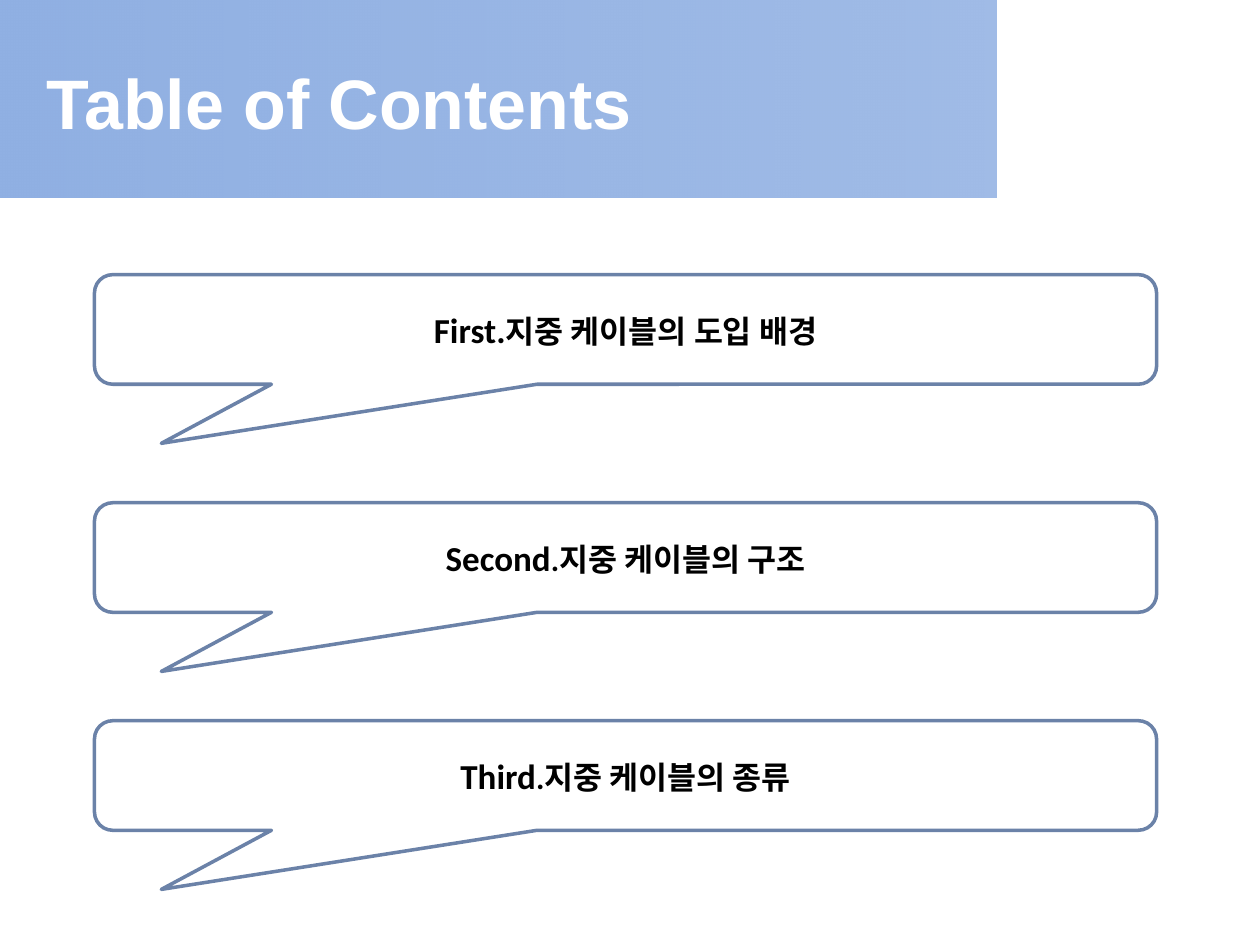
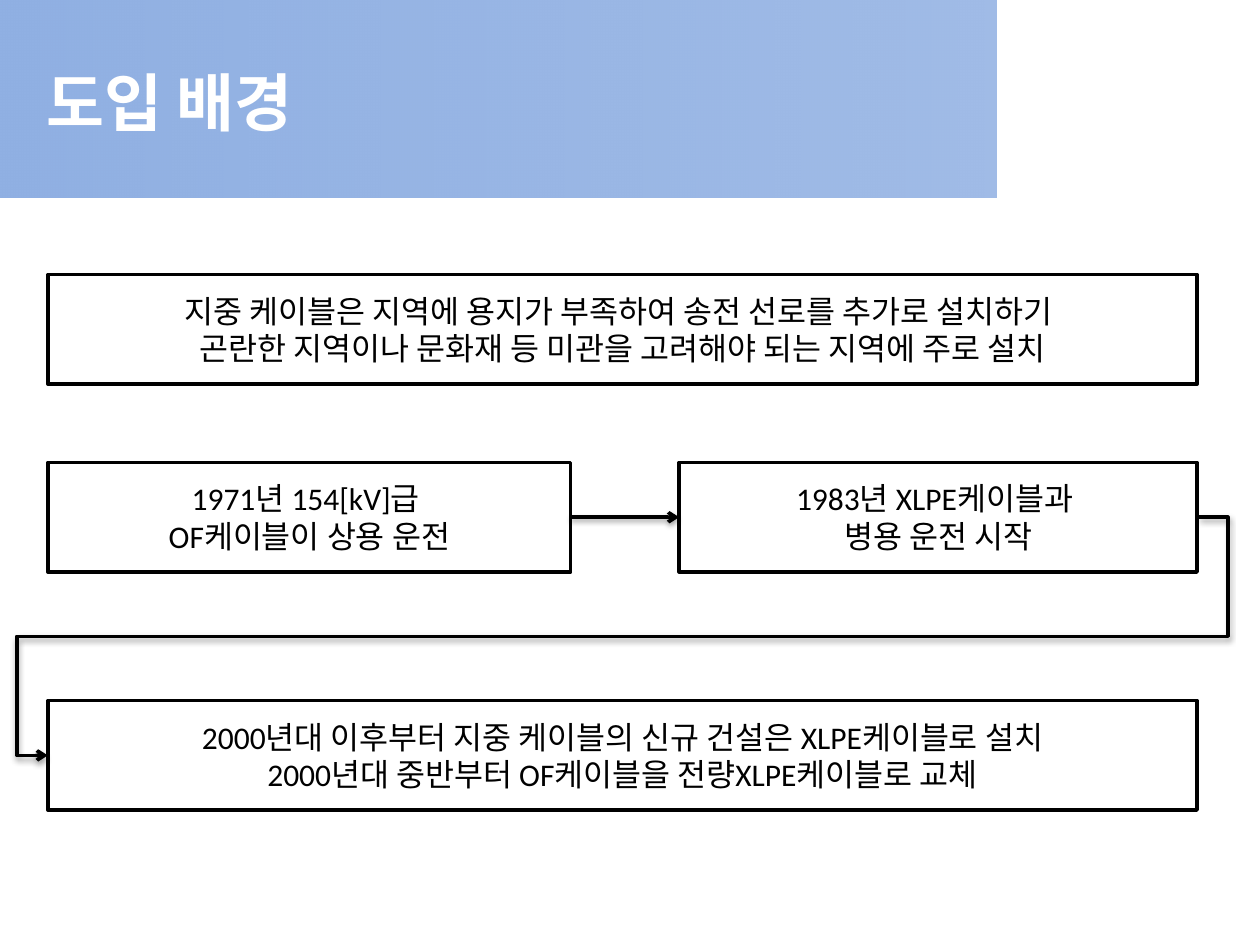
from lxml import etree
from pptx import Presentation
from pptx import util as u
from pptx.dml import color
from pptx.enum import shapes, text
from pptx.oxml import ns

SKY, STEEL, WHITE, BLACK = "90B0E3", "6B82A8", "FFFFFF", "000000"
HIGH = 0.87


def paint(target, tint):
    target.rgb = color.RGBColor.from_string(tint)


def child(parent, tag, **attrs):
    return etree.SubElement(parent, ns.qn(tag), attrs)


class Deck:
    def __init__(self):
        self.file = Presentation()
        self.file.slide_width = u.Inches(10)
        self.file.slide_height = u.Inches(7.5)
        self.base = self.file.slide_layouts.get_by_name("Title Only")
        self.slide = None
        head = self.base.placeholders[0]
        self.place(head, 0.27, 0.3, 7.48, 1.01)
        head.text_frame.vertical_anchor = text.MSO_ANCHOR.MIDDLE

    def place(self, item, *box):
        item.left, item.top, item.width, item.height = map(u.Inches, box)

    def page(self, words, size):
        first = self.slide is None
        self.slide = self.file.slides.add_slide(self.base)
        if first:
            self.band()
        para = self.slide.shapes.title.text_frame.paragraphs[0]
        para.alignment = text.PP_ALIGN.LEFT
        self.run(para, words, size, "Arial", WHITE, True)

    def band(self):
        band = self.shape(shapes.MSO_SHAPE.RECTANGLE, 0, 0, 7.91, 1.57)
        band.line.fill.background()
        band.fill.gradient()
        band.fill.gradient_angle = 0
        for stop in band.fill.gradient_stops:
            paint(stop.color, SKY)
        last = band.element.findall(".//" + ns.qn("a:gs"))[-1]
        child(last.find(ns.qn("a:srgbClr")), "a:alpha", val="85000")
        self.base.shapes.element.insert(2, band.element)

    def shape(self, kind, *box):
        item = self.slide.shapes.add_shape(kind, *map(u.Inches, box))
        item.shadow.inherit = False
        return item

    def run(self, para, words, size, face="Calibri", tint=BLACK, bold=False):
        part = para.add_run()
        part.text = words
        font = part.font
        font.size, font.name, font.bold = u.Pt(size), face, bold
        paint(font.color, tint)

    def panel(self, kind, box, edge, lines, bold=False):
        item = self.shape(kind, *box)
        item.fill.solid()
        paint(item.fill.fore_color, WHITE)
        paint(item.line.color, edge)
        item.line.width = u.Pt(2)
        frame = item.text_frame
        frame.word_wrap = True
        frame.vertical_anchor = text.MSO_ANCHOR.MIDDLE
        for count, runs in enumerate(lines):
            para = frame.add_paragraph() if count else frame.paragraphs[0]
            para.alignment = text.PP_ALIGN.CENTER
            for words, size in runs:
                self.run(para, words, size, bold=bold)
        return item

    def bubble(self, top, lead, rest):
        item = self.panel(shapes.MSO_SHAPE.ROUNDED_RECTANGULAR_CALLOUT,
                          (0.75, top, 8.43, HIGH), STEEL,
                          [[(lead, 20), (rest, 18)]], True)
        for spot, value in enumerate((-0.437, 1.039, 0.167)):
            item.adjustments[spot] = value

    def box(self, left, top, width, *lines):
        return self.panel(shapes.MSO_SHAPE.RECTANGLE, (left, top, width, HIGH),
                          BLACK, [[(line, 18)] for line in lines])

    def arrow(self, start, end, bends=()):
        kind = shapes.MSO_CONNECTOR.ELBOW if bends else shapes.MSO_CONNECTOR.STRAIGHT
        line = self.slide.shapes.add_connector(kind, 0, 0, 0, 0)
        line.begin_connect(start, 3)
        line.end_connect(end, 1)
        paint(line.line.color, BLACK)
        line.line.width = u.Pt(2)
        props = line.element.spPr
        child(props.find(ns.qn("a:ln")), "a:tailEnd", type="arrow")
        if bends:
            form = props.find(ns.qn("a:prstGeom"))
            form.set("prst", "bentConnector5")
            guide = form.find(ns.qn("a:avLst"))
            for count, bend in enumerate(bends, 1):
                child(guide, "a:gd", name=f"adj{count}", fmla=f"val {bend}")
        glow = child(child(props, "a:effectLst"), "a:outerShdw", blurRad="40000",
                     dist="20000", dir="5400000", rotWithShape="0")
        tint = child(glow, "a:srgbClr", val=BLACK)
        child(tint, "a:alpha", val="38000")


def main():
    deck = Deck()
    deck.page("Table of Contents", 40)
    for top, lead, rest in (
        (2.18, "First.", "지중 케이블의 도입 배경"),
        (3.99, "Second", ".지중 케이블의 구조"),
        (5.72, "Third", ".지중 케이블의 종류"),
    ):
        deck.bubble(top, lead, rest)

    deck.page("도입 배경", 36)
    deck.box(0.38, 2.18, 9.12,
             "지중 케이블은 지역에 용지가 부족하여 송전 선로를 추가로 설치하기 ",
             "곤란한 지역이나 문화재 등 미관을 고려해야 되는 지역에 주로 설치")
    start = deck.box(0.38, 3.67, 4.15, "1971년 154[kV]급 ", "OF케이블이 상용 운전")
    joint = deck.box(5.39, 3.67, 4.11, "1983년 XLPE케이블과 ", "병용 운전 시작")
    deck.arrow(start, joint)
    swap = deck.box(0.38, 5.56, 9.12,
                    "2000년대 이후부터 지중 케이블의 신규 건설은 XLPE케이블로 설치",
                    "2000년대 중반부터 OF케이블을 전량XLPE케이블로 교체")
    deck.arrow(joint, swap, (-2700, 50000, 102700))
    deck.file.save("out.pptx")


if __name__ == "__main__":
    main()
